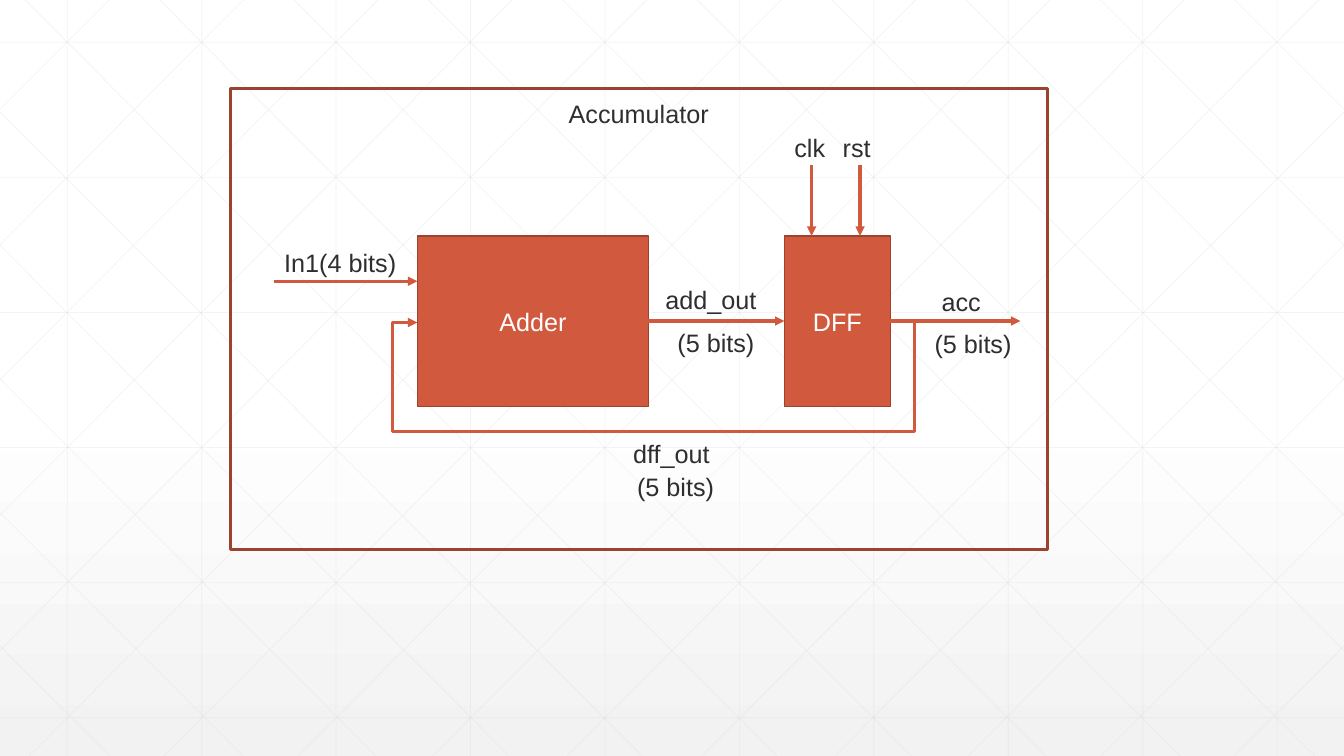
import typing
from dataclasses import dataclass

import lxml.etree
import pptx
import pptx.dml.color
import pptx.enum.shapes
import pptx.enum.text
import pptx.oxml.ns
import pptx.util

Inches = pptx.util.Inches
CONNECTOR = pptx.enum.shapes.MSO_CONNECTOR
ALIGN = pptx.enum.text.PP_ALIGN
ANCHOR = pptx.enum.text.MSO_ANCHOR
AUTO_SIZE = pptx.enum.text.MSO_AUTO_SIZE

WIDTH, HEIGHT = 13.33, 7.5
ORANGE, BROWN, INK, WHITE, GRID = "D15A3E", "9B432E", "2D2E2D", "FFFFFF", "D9D9D9"
BLOCK_TOP, BLOCK_HEIGHT = 2.34, 1.69
MIDDLE = BLOCK_TOP + BLOCK_HEIGHT / 2
RIGHT_SIDE, LEFT_SIDE = 3, 1


@dataclass
class Block:
    text: str
    left: float
    width: float


@dataclass
class Label:
    text: str
    left: float
    top: float
    width: float


@dataclass
class Arrow:
    start: tuple[float, float]
    end: tuple[float, float]
    source: str = ""
    target: str = ""


BLOCKS = [Block("Adder", 4.14, 2.29), Block("DFF", 7.78, 1.05)]
ARROWS = [
    Arrow((2.72, 2.79), (4.14, 2.79)),
    Arrow((8.83, MIDDLE), (10.12, MIDDLE), source="DFF"),
    Arrow((6.43, MIDDLE), (7.78, MIDDLE), source="Adder", target="DFF"),
    Arrow((8.53, 1.64), (8.53, BLOCK_TOP)),
    Arrow((8.05, 1.64), (8.05, BLOCK_TOP)),
]
LABELS = [
    Label("In1(4 bits)", 2.72, 2.4, 1.42),
    Label("dff_out", 6.18, 4.3, 1.28),
    Label("add_out", 6.5, 2.77, 1.28),
    Label("acc", 9.24, 2.79, 1.28),
    Label("clk", 7.78, 1.26, 0.62),
    Label("rst", 8.26, 1.26, 0.62),
    Label("(5 bits)", 6.62, 3.2, 1.42),
    Label("(5 bits)", 6.22, 4.63, 1.42),
    Label("(5 bits)", 9.17, 3.21, 1.01),
]


def color(value: str) -> pptx.dml.color.RGBColor:
    return pptx.dml.color.RGBColor.from_string(value)


def add_xml(parent: typing.Any, tag: str, **attributes: str) -> typing.Any:
    return lxml.etree.SubElement(parent, pptx.oxml.ns.qn(tag), **attributes)


def write(frame: typing.Any, text: str, ink: str, align: typing.Any) -> None:
    para = frame.paragraphs[0]
    para.text = text
    para.alignment = align
    para.font.name = "Arial"
    para.font.size = pptx.util.Pt(18)
    para.font.color.rgb = color(ink)


def add_line(shapes: typing.Any, start: tuple[float, float], end: tuple[float, float],
             ink: str, points: float, kind: typing.Any = CONNECTOR.STRAIGHT) -> typing.Any:
    line = shapes.add_connector(kind, *(Inches(value) for value in (*start, *end)))
    line.line.color.rgb = color(ink)
    line.line.width = pptx.util.Pt(points)
    add_xml(line._element.spPr, "a:effectLst")
    return line


def add_arrow(shapes: typing.Any, start: tuple[float, float], end: tuple[float, float],
              kind: typing.Any = CONNECTOR.STRAIGHT) -> typing.Any:
    arrow = add_line(shapes, start, end, ORANGE, 2.25, kind)
    add_xml(arrow.line._get_or_add_ln(), "a:tailEnd", type="triangle")
    return arrow


def add_rectangle(shapes: typing.Any, left: float, top: float, width: float,
                  height: float, points: float) -> typing.Any:
    box = shapes.add_shape(pptx.enum.shapes.MSO_SHAPE.RECTANGLE,
                           *(Inches(value) for value in (left, top, width, height)))
    box.shadow.inherit = False
    box.line.color.rgb = color(BROWN)
    box.line.width = pptx.util.Pt(points)
    return box


def add_background(page: typing.Any) -> None:
    fill = page.background.fill
    fill.gradient()
    fill.gradient_angle = 270
    for stop, position, shade in zip(fill.gradient_stops, (0.53, 1), (WHITE, "F2F2F2")):
        stop.position = position
        stop.color.rgb = color(shade)


def add_grid(page: typing.Any) -> None:
    step, slope = 4 / 3, 1.006
    lines = [((step * (i + 0.5), 0), (step * (i + 0.5), HEIGHT)) for i in range(10)]
    lines += [((0, 0.42 + 1.34 * i), (WIDTH, 0.42 + 1.34 * i)) for i in range(6)]

    # Diagonals falling to the right, then their mirror images
    diagonals = []
    for i in range(10):
        x = 0.25 + step * i
        run = min(HEIGHT / slope, WIDTH - x)
        diagonals.append(((x, 0), (x + run, run * slope)))
    diagonals += [((6.37 - 1.32 * i, HEIGHT), (0, 1.11 + 1.325 * i)) for i in range(5)]
    lines += diagonals
    lines += [((WIDTH - x1, y1), (WIDTH - x2, y2)) for (x1, y1), (x2, y2) in diagonals]

    group = page.shapes.add_group_shape()
    for start, end in lines:
        line = add_line(group.shapes, start, end, GRID, 0.5)
        shade = line._element.spPr.find(".//" + pptx.oxml.ns.qn("a:srgbClr"))
        add_xml(shade, "a:alpha", val="30000")


def add_feedback(page: typing.Any) -> None:
    (x1, y1), (x2, y2) = start, end = (8.83, MIDDLE), (4.14, 3.2)
    right, bottom, left = 9.07, 4.28, 3.89
    loop = add_arrow(page.shapes, start, end, CONNECTOR.ELBOW)
    geometry = loop._element.spPr.prstGeom
    geometry.set("prst", "bentConnector5")
    guides = geometry.get_or_add_avLst()
    bends = ((right - x1) / (x2 - x1), (bottom - y1) / (y2 - y1), (left - x1) / (x2 - x1))
    for number, bend in enumerate(bends, 1):
        add_xml(guides, "a:gd", name=f"adj{number}", fmla=f"val {round(bend * 100000)}")


def main() -> None:
    deck = pptx.Presentation()
    deck.slide_width, deck.slide_height = Inches(WIDTH), Inches(HEIGHT)
    page = deck.slides.add_slide(deck.slide_layouts.get_by_name("Title Only"))
    add_background(page)
    add_grid(page)

    # Title
    title = page.shapes.title
    title.left, title.top = Inches(5.23), Inches(0.93)
    title.width, title.height = Inches(2.21), Inches(0.4)
    title.text_frame.auto_size = AUTO_SIZE.NONE
    title.text_frame.vertical_anchor = ANCHOR.TOP
    write(title.text_frame, "Accumulator", INK, ALIGN.CENTER)

    # Blocks
    boxes = {}
    for block in BLOCKS:
        box = add_rectangle(page.shapes, block.left, BLOCK_TOP, block.width, BLOCK_HEIGHT, 1)
        box.fill.solid()
        box.fill.fore_color.rgb = color(ORANGE)
        box.text_frame.vertical_anchor = ANCHOR.MIDDLE
        write(box.text_frame, block.text, WHITE, ALIGN.CENTER)
        boxes[block.text] = box

    # Signals
    add_feedback(page)
    for signal in ARROWS:
        arrow = add_arrow(page.shapes, signal.start, signal.end)
        if signal.source:
            arrow.begin_connect(boxes[signal.source], RIGHT_SIDE)
        if signal.target:
            arrow.end_connect(boxes[signal.target], LEFT_SIDE)

    # Signal names
    for label in LABELS:
        box = page.shapes.add_textbox(Inches(label.left), Inches(label.top),
                                      Inches(label.width), Inches(0.4))
        box.text_frame.word_wrap = True
        box.text_frame.auto_size = AUTO_SIZE.SHAPE_TO_FIT_TEXT
        write(box.text_frame, label.text, INK, ALIGN.LEFT)

    # Outer frame
    add_rectangle(page.shapes, 2.29, 0.88, 8.1, 4.57, 2.25).fill.background()

    deck.save("out.pptx")


if __name__ == "__main__":
    main()
